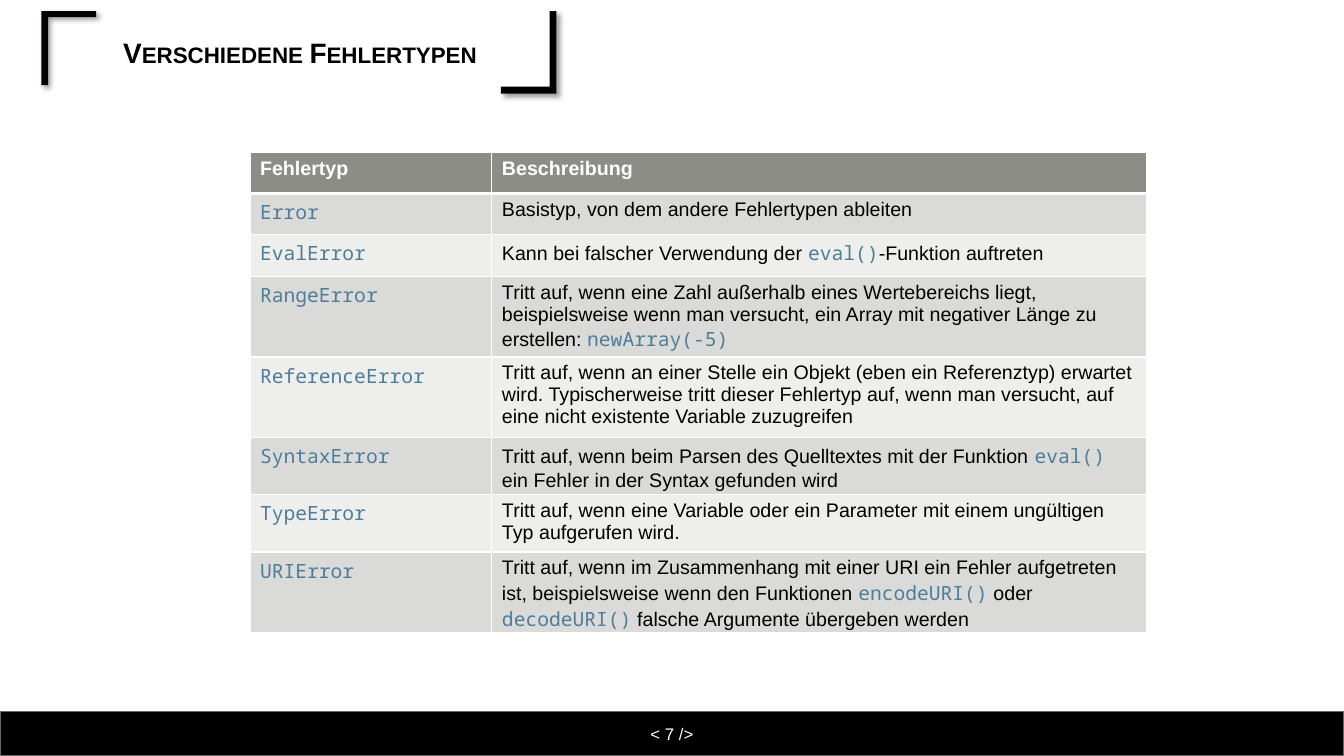
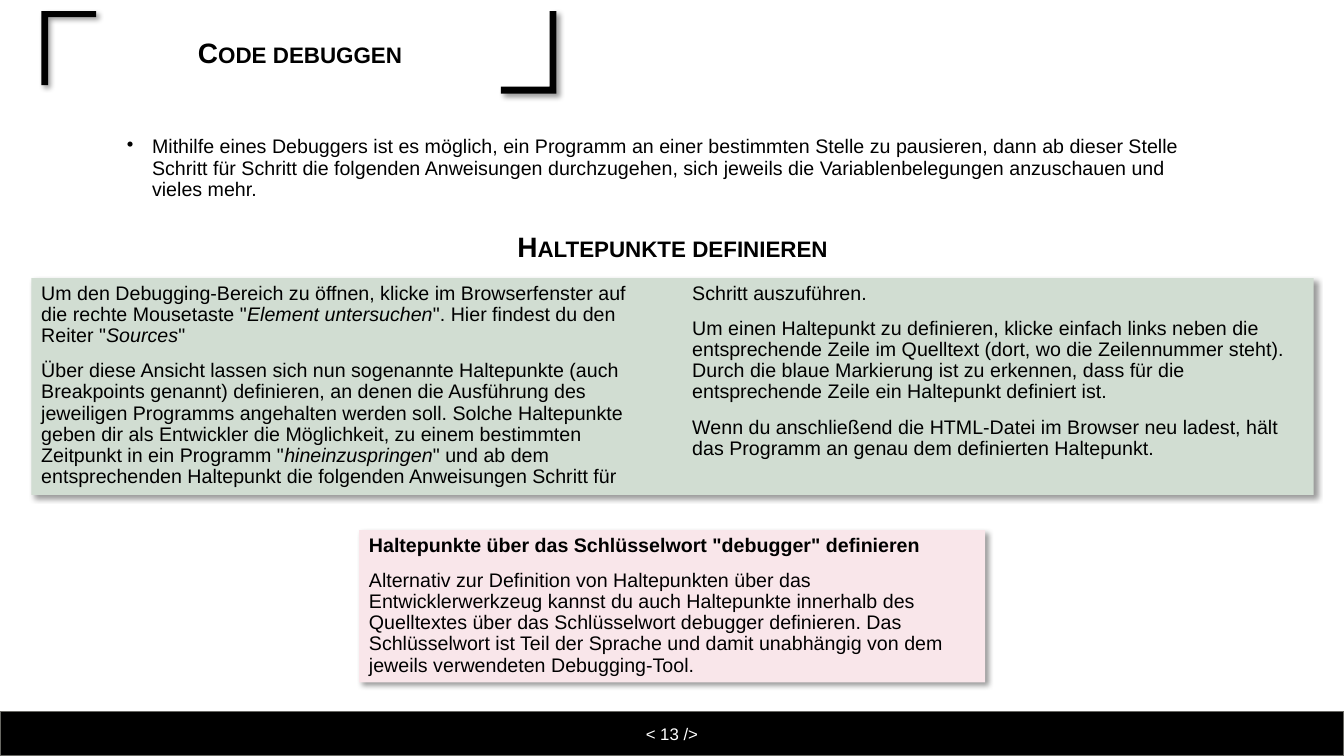
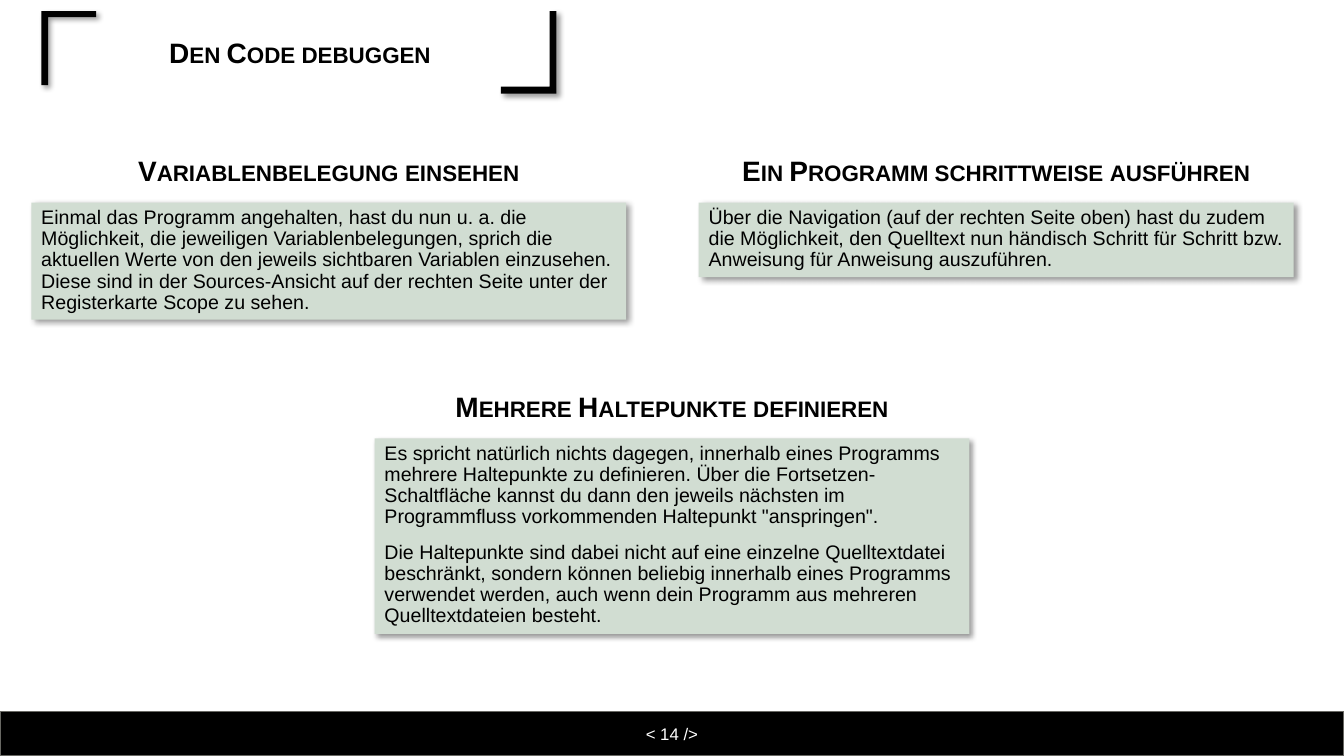
import lxml.etree
import pptx
import pptx.dml.color
import pptx.enum.shapes
import pptx.enum.text
import pptx.oxml.ns
import pptx.util

WIDE = pptx.util.Inches(13.33)
HIGH = pptx.util.Inches(7.5)
BLACK, WHITE, GREY = "000000", "FFFFFF", "686863"
GREEN, PINK, BLUE = "D1DDD2", "F9E6EA", "4D7D99"
HEAD, BANDS = "8C8D86", ("DADBD9", "EEEEED")
SANS, MONO = "Arial", "Noto Sans Mono"
LABEL = 8
HALF = 44.26
EDGE = 2.33
ALIGN = pptx.enum.text.PP_ALIGN
MIDDLE = pptx.enum.text.MSO_ANCHOR.MIDDLE
RECT = pptx.enum.shapes.MSO_SHAPE.RECTANGLE

ERRORS = [
    ("Error", "Basistyp, von dem andere Fehlertypen ableiten"),
    ("EvalError", "Kann bei falscher Verwendung der |eval()|-Funktion auftreten"),
    ("RangeError", "Tritt auf, wenn eine Zahl außerhalb eines Wertebereichs liegt, "
     "beispielsweise wenn man versucht, ein Array mit negativer Länge zu "
     "erstellen: |newArray(-5)|"),
    ("ReferenceError", "Tritt auf, wenn an einer Stelle ein Objekt (eben ein "
     "Referenztyp) erwartet wird. Typischerweise tritt dieser Fehlertyp auf, wenn "
     "man versucht, auf eine nicht existente Variable zuzugreifen"),
    ("SyntaxError", "Tritt auf, wenn beim Parsen des Quelltextes mit der Funktion "
     "|eval()| ein Fehler in der Syntax gefunden wird"),
    ("TypeError", "Tritt auf, wenn eine Variable oder ein Parameter mit einem "
     "ungültigen Typ aufgerufen wird."),
    ("URIError", "Tritt auf, wenn im Zusammenhang mit einer URI ein Fehler "
     "aufgetreten ist, beispielsweise wenn den Funktionen |encodeURI()| oder "
     "|decodeURI()| falsche Argumente übergeben werden"),
]
PAUSE = (
    "Mithilfe eines Debuggers ist es möglich, ein Programm an einer bestimmten "
    "Stelle zu pausieren, dann ab dieser Stelle Schritt für Schritt die folgenden "
    "Anweisungen durchzugehen, sich jeweils die Variablenbelegungen anzuschauen "
    "und vieles mehr."
)
BREAKS = [
    "Um den Debugging-Bereich zu öffnen, klicke im Browserfenster auf die rechte "
    "Mousetaste \"|Element untersuchen|\". Hier findest du den Reiter \"|Sources|\"",
    "Über diese Ansicht lassen sich nun sogenannte Haltepunkte (auch Breakpoints "
    "genannt) definieren, an denen die Ausführung des jeweiligen Programms "
    "angehalten werden soll. Solche Haltepunkte geben dir als Entwickler die "
    "Möglichkeit, zu einem bestimmten Zeitpunkt in ein Programm "
    "\"|hineinzuspringen|\" und ab dem entsprechenden Haltepunkt die folgenden "
    "Anweisungen Schritt für Schritt auszuführen.",
    "Um einen Haltepunkt zu definieren, klicke einfach links neben die "
    "entsprechende Zeile im Quelltext (dort, wo die Zeilennummer steht). Durch die "
    "blaue Markierung ist zu erkennen, dass für die entsprechende Zeile ein "
    "Haltepunkt definiert ist.",
    "Wenn du anschließend die HTML-Datei im Browser neu ladest, hält das Programm "
    "an genau dem definierten Haltepunkt.",
]
KEYWORD = [
    "Haltepunkte über das Schlüsselwort \"debugger\" definieren",
    "Alternativ zur Definition von Haltepunkten über das Entwicklerwerkzeug kannst "
    "du auch Haltepunkte innerhalb des Quelltextes über das Schlüsselwort debugger "
    "definieren. Das Schlüsselwort ist Teil der Sprache und damit unabhängig von "
    "dem jeweils verwendeten Debugging-Tool.",
]
VALUES = [
    "Einmal das Programm angehalten, hast du nun u. a. die Möglichkeit, die "
    "jeweiligen Variablenbelegungen, sprich die aktuellen Werte von den jeweils "
    "sichtbaren Variablen einzusehen. Diese sind in der Sources-Ansicht auf der "
    "rechten Seite unter der Registerkarte Scope zu sehen.",
]
STEPS = [
    "Über die Navigation (auf der rechten Seite oben) hast du zudem die "
    "Möglichkeit, den Quelltext nun händisch Schritt für Schritt bzw. Anweisung "
    "für Anweisung auszuführen.",
]
JUMPS = [
    "Es spricht natürlich nichts dagegen, innerhalb eines Programms mehrere "
    "Haltepunkte zu definieren. Über die Fortsetzen-Schaltfläche kannst du dann den "
    "jeweils nächsten im Programmfluss vorkommenden Haltepunkt \"anspringen\".",
    "Die Haltepunkte sind dabei nicht auf eine einzelne Quelltextdatei beschränkt, "
    "sondern können beliebig innerhalb eines Programms verwendet werden, auch wenn "
    "dein Programm aus mehreren Quelltextdateien besteht.",
]


def share(x, y):
    return round(WIDE * x / 100), round(HIGH * y / 100)


def area(x, y, w, h):
    return share(x, y) + share(w, h)


def tint(code):
    return pptx.dml.color.RGBColor.from_string(code)


def paint(item, code):
    item.fill.solid()
    item.fill.fore_color.rgb = tint(code)


def add(node, tag, **attrs):
    return lxml.etree.SubElement(node, pptx.oxml.ns.qn(tag), attrs)


def shade(shape):
    shape.line.fill.background()
    shape.shadow.inherit = False
    effects = shape._element.spPr.find(pptx.oxml.ns.qn("a:effectLst"))
    cast = add(effects, "a:outerShdw", blurRad=str(pptx.util.Pt(4)),
               dist=str(pptx.util.Pt(3)), dir="2700000", algn="tl", rotWithShape="0")
    black = add(cast, "a:srgbClr", val=BLACK)
    add(black, "a:alpha", val="40000")


def style(para, size, code=BLACK, bold=False, face=SANS):
    font = para.font
    font.name, font.size, font.bold = face, pptx.util.Pt(size), bold
    font.color.rgb = tint(code)


def write(para, text, mark=None):
    for place, part in enumerate(text.split("|")):
        if part:
            run = para.add_run()
            run.text = part
            if place % 2:
                mark(run)


def slant(run):
    run.font.italic = True


def code(run):
    run.font.name = MONO
    run.font.color.rgb = tint(BLUE)


def prose(para, text, bold=False):
    style(para, 14, bold=bold)
    para.alignment = ALIGN.LEFT
    para.line_spacing = 0.9
    para.space_before = pptx.util.Pt(10)
    write(para, text, slant)


def label(slide, text, x, y, w):
    frame = slide.shapes.add_textbox(*area(x, y, w, LABEL)).text_frame
    frame.word_wrap = True
    frame.vertical_anchor = MIDDLE
    para = frame.paragraphs[0]
    style(para, 20, bold=True)
    para.alignment = ALIGN.CENTER
    para.line_spacing = 0.9
    write(para, text)
    para.runs[0]._r.get_or_add_rPr().set("cap", "small")


def card(slide, texts, x, y, w, h, fill=GREEN, lead=False):
    shape = slide.shapes.add_shape(RECT, *area(x, y, w, h))
    paint(shape, fill)
    shade(shape)
    frame = shape.text_frame
    frame.word_wrap = True
    frame.vertical_anchor = pptx.enum.text.MSO_ANCHOR.TOP
    for place, text in enumerate(texts):
        para = frame.add_paragraph() if place else frame.paragraphs[0]
        prose(para, text, lead and place == 0)
    return frame


def topic(slide, title, texts, x, y, w, h):
    label(slide, title, x, y - LABEL, w)
    return card(slide, texts, x, y, w, h)


def split(frame):
    body = frame._txBody.bodyPr
    body.set("numCol", "2")
    body.set("spcCol", str(share(2.93, 0)[0]))


def bullet(slide, text, x, y, w, h):
    frame = slide.shapes.add_textbox(*area(x, y, w, h)).text_frame
    frame.word_wrap = True
    para = frame.paragraphs[0]
    props = para._p.get_or_add_pPr()
    hang = pptx.util.Inches(0.25)
    props.set("marL", str(hang))
    props.set("indent", str(-hang))
    add(props, "a:buChar", char="•")
    prose(para, text)


def corner(slide, x, y, w, h, side, top):
    points = [share(*spot) for spot in (
        (x, y), (x + w, y), (x + w, y + top), (x + side, y + top),
        (x + side, y + h), (x, y + h))]
    pen = slide.shapes.build_freeform(*points[0])
    pen.add_line_segments(points[1:])
    shape = pen.convert_to_shape()
    paint(shape, BLACK)
    shade(shape)


def footer(slide, number):
    band = slide.shapes.add_shape(RECT, *area(0, 94.13, 100, 5.87))
    paint(band, BLACK)
    band.line.color.rgb = tint(GREY)
    band.line.width = pptx.util.Pt(1)
    band.shadow.inherit = False
    frame = band.text_frame
    frame.vertical_anchor = MIDDLE
    para = frame.paragraphs[0]
    style(para, 12, WHITE)
    para.alignment = ALIGN.CENTER
    write(para, f"< {number} />")


def page(deck, number, title):
    slide = deck.slides.add_slide(deck.slide_layouts[6])
    corner(slide, 3.08, 1.47, 4.07, 9.8, 0.5, 0.8)
    corner(slide, 41.41, 12.4, -4.13, -10.93, -0.5, -0.93)
    footer(slide, number)
    label(slide, title, 3.98, 3.2, 36.68)
    return slide


def edges(cell, top, base):
    props = cell._tc.get_or_add_tcPr()
    for side, size in zip("LRTB", (1, 1, top, base)):
        line = add(props, "a:ln" + side, w=str(pptx.util.Pt(size)))
        add(add(line, "a:solidFill"), "a:srgbClr", val=WHITE)


def grid(slide, rows, x, y, widths, pitch):
    place = area(x, y, sum(widths), pitch * len(rows))
    table = slide.shapes.add_table(len(rows), len(widths), *place).table
    for column, width in zip(table.columns, widths):
        column.width = share(width, 0)[0]
    for r, row in enumerate(rows):
        table.rows[r].height = share(0, pitch)[1]
        for c, text in enumerate(row):
            cell = table.cell(r, c)
            edges(cell, 3 if r == 1 else 1, 1 if r else 3)
            paint(cell, BANDS[(r - 1) % 2] if r else HEAD)
            para = cell.text_frame.paragraphs[0]
            if r == 0:
                style(para, 14, WHITE, bold=True)
            elif c == 0:
                style(para, 14, BLUE, face=MONO)
            else:
                style(para, 14)
            write(para, text, code)


def main():
    deck = pptx.Presentation()
    deck.slide_width, deck.slide_height = WIDE, HIGH

    types = page(deck, 7, "Verschiedene Fehlertypen")
    rows = [("Fehlertyp", "Beschreibung")] + ERRORS
    grid(types, rows, 18.6, 20.13, (18, 48.69), 5.47)

    debug = page(deck, 13, "Code debuggen")
    bullet(debug, PAUSE, 8.7, 17.47, 82.6, 9.87)
    split(topic(debug, "Haltepunkte definieren", BREAKS, EDGE, 36.8, 95.42, 28.67))
    card(debug, KEYWORD, 26.71, 70.13, 46.59, 20.13, PINK, lead=True)

    steps = page(deck, 14, "Den Code debuggen")
    topic(steps, "Variablenbelegung einsehen", VALUES, EDGE, 26.8, HALF, 15.47)
    topic(steps, "Ein Programm schrittweise ausführen", STEPS, 51.99, 26.8, HALF, 9.87)
    topic(steps, "Mehrere Haltepunkte definieren", JUMPS,
          (100 - HALF) / 2, 58, HALF, 25.87)

    deck.save("out.pptx")


main()
